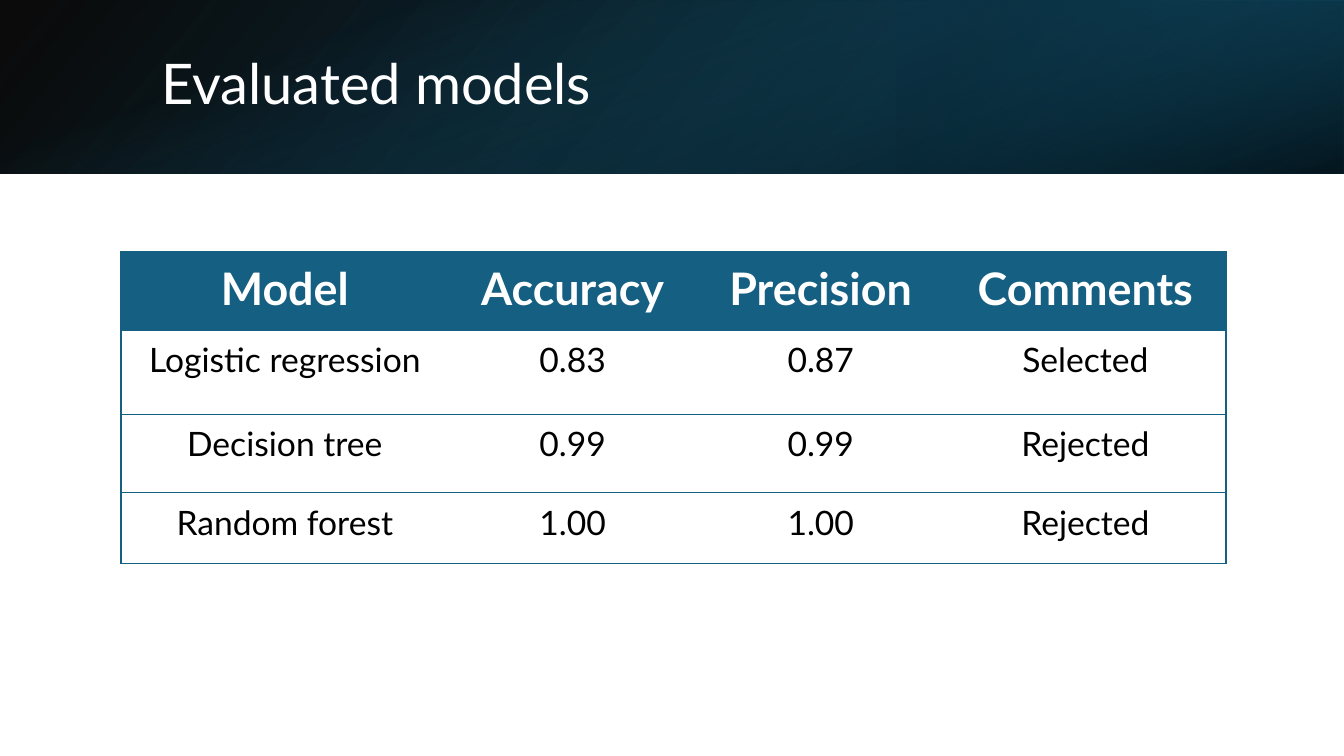
import pptx
import pptx.dml.color
import pptx.enum.shapes
import pptx.enum.text
import pptx.oxml
import pptx.oxml.ns
import pptx.util
from pptx.util import Inches

FONT = "Lato"
COLORS = {
    "teal": "156082",
    "mid_teal": "104862",
    "deep_teal": "0B3041",
    "black": "000000",
    "white": "FFFFFF",
}
COLUMN_WIDTHS = [3.25, 2.46, 2.46, 2.79]
ROW_HEIGHTS = [0.78, 0.83, 0.78, 0.7]
MODELS = [
    ["Model", "Accuracy", "Precision", "Comments"],
    ["Logistic regression", "0.83", "0.87", "Selected"],
    ["Decision tree", "0.99", "0.99", "Rejected"],
    ["Random forest", "1.00", "1.00", "Rejected"],
]


def rgb(name):
    return pptx.dml.color.RGBColor.from_string(COLORS[name])


def set_font(p, size, color, bold=False):
    p.font.name = FONT
    p.font.size = pptx.util.Pt(size)
    p.font.bold = bold
    p.font.color.rgb = rgb(color)


def add_gradient(slide, box, stops, angle, rotation=0, flip=False):
    """Add a rectangle; stops are (position %, color, opacity %), angle is clockwise."""
    sp = slide.shapes.add_shape(
        pptx.enum.shapes.MSO_SHAPE.RECTANGLE, *map(Inches, box))
    sp.shadow.inherit = False
    sp.line.fill.background()
    sp.rotation = rotation
    if flip:
        sp._element.spPr.xfrm.set("flipH", "1")
    sp.fill.gradient()
    sp.fill.gradient_angle = 360 - angle
    for stop, (position, color, opacity) in zip(sp.fill.gradient_stops, stops):
        stop.position = position / 100
        stop.color.rgb = rgb(color)
    for clr, (position, color, opacity) in zip(
            sp._element.xpath(".//a:gs/a:srgbClr"), stops):
        alpha = pptx.oxml.parse_xml(
            f'<a:alpha {pptx.oxml.ns.nsdecls("a")} val="{opacity * 1000}"/>')
        clr.append(alpha)


def add_title(slide, text):
    sp = slide.shapes.add_textbox(
        Inches(1.5), Inches(0.38), Inches(10.98), Inches(0.96))
    tf = sp.text_frame
    tf.word_wrap = True
    tf.vertical_anchor = pptx.enum.text.MSO_ANCHOR.MIDDLE
    p = tf.paragraphs[0]
    p.text = text
    p.line_spacing = 0.9
    set_font(p, 40, "white")


def set_borders(cell, visible):
    """Draw the sides named in visible (from L, R, T, B) and hide the others."""
    tcPr = cell._tc.get_or_add_tcPr()
    for side in "LRTB":
        fill = "<a:noFill/>"
        if side in visible:
            fill = f'<a:solidFill><a:srgbClr val="{COLORS["teal"]}"/></a:solidFill>'
        tcPr.append(pptx.oxml.parse_xml(
            f'<a:ln{side} {pptx.oxml.ns.nsdecls("a")} w="12700">{fill}</a:ln{side}>'))


def fill_cell(cell, text, header, borders):
    cell.margin_left = cell.margin_right = Inches(0.18)
    cell.margin_top = cell.margin_bottom = Inches(0.09)
    set_borders(cell, borders)
    if header:
        cell.fill.solid()
        cell.fill.fore_color.rgb = rgb("teal")
    else:
        cell.fill.background()
    p = cell.text_frame.paragraphs[0]
    p.text = text
    p.alignment = pptx.enum.text.PP_ALIGN.CENTER
    set_font(p, 32 if header else 24, "white" if header else "black", header)


def add_model_table(slide):
    table = slide.shapes.add_table(
        len(MODELS), len(COLUMN_WIDTHS), Inches(1.2), Inches(2.5),
        Inches(sum(COLUMN_WIDTHS)), Inches(sum(ROW_HEIGHTS))).table
    table.first_row = True
    table.horz_banding = False
    for column, width in zip(table.columns, COLUMN_WIDTHS):
        column.width = Inches(width)
    last = len(COLUMN_WIDTHS) - 1
    for i, (row, height) in enumerate(zip(table.rows, ROW_HEIGHTS)):
        row.height = Inches(height)
        for j, text in enumerate(MODELS[i]):
            borders = "TB" + ("L" if j == 0 else "") + ("R" if j == last else "")
            fill_cell(table.cell(i, j), text, i == 0, borders)


def main():
    prs = pptx.Presentation()
    prs.slide_width, prs.slide_height = Inches(13.33), Inches(7.5)
    slide = prs.slides.add_slide(prs.slide_layouts[6])
    slide.background.fill.solid()
    slide.background.fill.fore_color.rgb = rgb("white")

    add_gradient(slide, (0, 0, 13.33, 1.72),
                 [(0, "black", 96), (100, "mid_teal", 100)], 140, flip=True)
    add_gradient(slide, (8.89, 0, 4.44, 1.72),
                 [(19, "deep_teal", 68), (100, "teal", 79)], 320, 180, flip=True)
    add_gradient(slide, (5.8, -5.8, 1.72, 13.33),
                 [(23, "teal", 0), (99, "black", 74)], 340, 90)
    add_title(slide, "Evaluated models")
    add_model_table(slide)
    prs.save("out.pptx")


if __name__ == "__main__":
    main()
